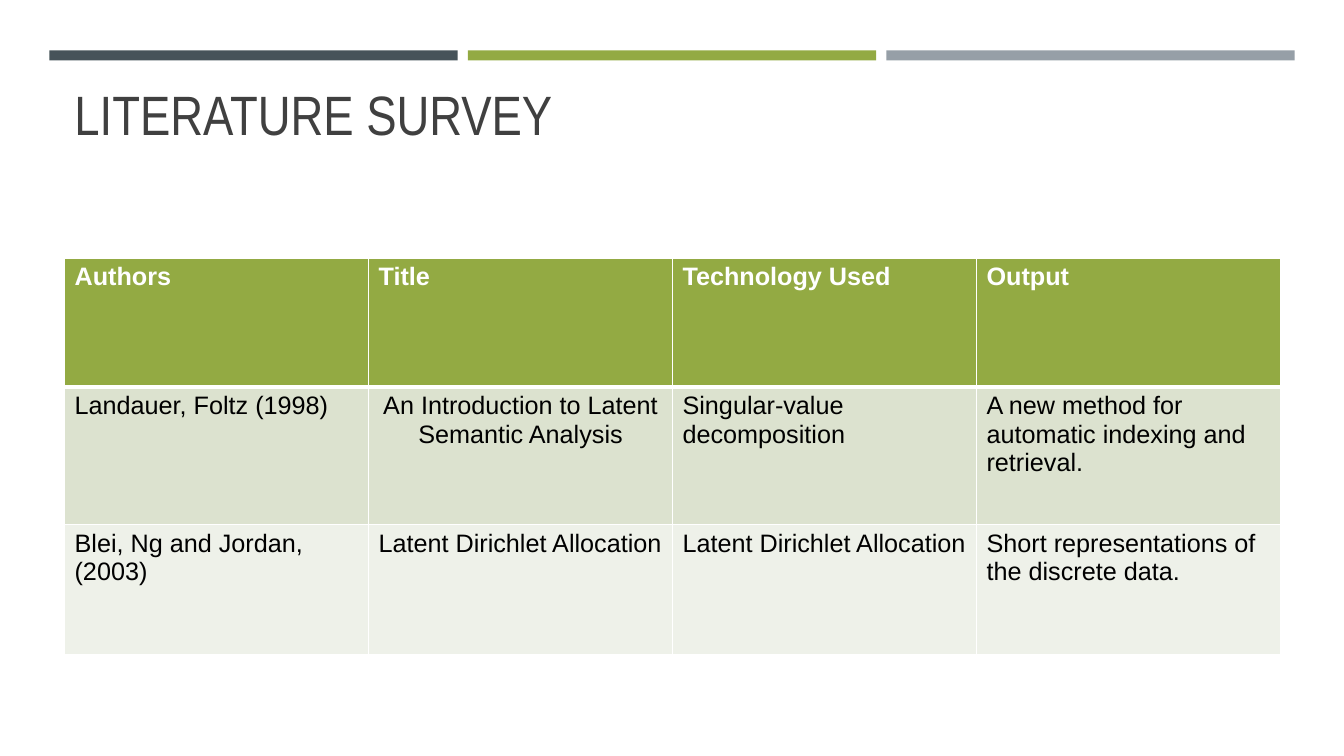
from lxml import etree
from pptx import Presentation
from pptx.dml.color import RGBColor
from pptx.enum.shapes import MSO_SHAPE
from pptx.enum.text import MSO_ANCHOR, PP_ALIGN
from pptx.oxml.ns import qn
from pptx.util import Inches, Pt

RECTANGLE = MSO_SHAPE.RECTANGLE
BOTTOM = MSO_ANCHOR.BOTTOM
LEFT = PP_ALIGN.LEFT
CENTER = PP_ALIGN.CENTER

WHITE = RGBColor(0xFF, 0xFF, 0xFF)
BLACK = RGBColor(0x00, 0x00, 0x00)
CHARCOAL = RGBColor(0x40, 0x40, 0x40)
SLATE = RGBColor(0x46, 0x53, 0x59)
GREEN = RGBColor(0x93, 0xAA, 0x43)
GRAY = RGBColor(0x96, 0x9F, 0xA7)
DARK_BAND = RGBColor(0xDC, 0xE2, 0xCF)
LIGHT_BAND = RGBColor(0xEE, 0xF1, 0xE9)


def add_run(paragraph, text, font_name, size, color, bold=False):
    run = paragraph.add_run()
    run.text = text
    run.font.name = font_name
    run.font.size = Pt(size)
    run.font.color.rgb = color
    run.font.bold = bold


def add_border(cell, side, width, color):
    properties = cell._tc.get_or_add_tcPr()
    line = etree.SubElement(properties, qn(f"a:ln{side}"), w=str(Pt(width)))
    fill = etree.SubElement(line, qn("a:solidFill"))
    etree.SubElement(fill, qn("a:srgbClr"), val=str(color))


presentation = Presentation()
presentation.slide_width = Inches(13.33)
presentation.slide_height = Inches(7.5)
slide = presentation.slides.add_slide(presentation.slide_layouts[6])

for index, color in enumerate([SLATE, GREEN, GRAY]):
    bar = slide.shapes.add_shape(
        RECTANGLE, Inches(0.49 + index * 4.15), Inches(0.5), Inches(4.05), Inches(0.1)
    )
    bar.shadow.inherit = False
    bar.fill.solid()
    bar.fill.fore_color.rgb = color
    bar.line.fill.background()

title = slide.shapes.add_textbox(Inches(0.64), Inches(0.77), Inches(12.06), Inches(0.74))
title.text_frame.word_wrap = True
title.text_frame.vertical_anchor = BOTTOM
title_paragraph = title.text_frame.paragraphs[0]
title_paragraph.line_spacing = 0.9
add_run(title_paragraph, "LITERATURE SURVEY", "Arial Narrow", 39.6, CHARCOAL)

survey = [
    ["Authors", "Title", "Technology Used", "Output"],
    [
        "Landauer, Foltz (1998)",
        "An Introduction to Latent Semantic Analysis",
        "Singular\u2010value decomposition",
        "A new method for automatic indexing and retrieval.",
    ],
    [
        "Blei, Ng and Jordan, (2003)",
        "Latent Dirichlet Allocation",
        "Latent Dirichlet Allocation",
        "Short representations of the discrete data.",
    ],
]
row_heights = [1.28, 1.36, 1.29]
row_fills = [GREEN, DARK_BAND, LIGHT_BAND]

table = slide.shapes.add_table(
    3, 4, Inches(0.64), Inches(2.56), Inches(12.06), Inches(3.93)
).table
for column in table.columns:
    column.width = Inches(12.06 / 4)

for row_index, texts in enumerate(survey):
    table.rows[row_index].height = Inches(row_heights[row_index])
    is_header = row_index == 0
    for column_index, text in enumerate(texts):
        cell = table.cell(row_index, column_index)
        for side in "LRTB":
            below_header = (row_index, side) in [(0, "B"), (1, "T")]
            add_border(cell, side, 3 if below_header else 1, WHITE)
        cell.fill.solid()
        cell.fill.fore_color.rgb = row_fills[row_index]
        paragraph = cell.text_frame.paragraphs[0]
        paragraph.alignment = CENTER if (row_index, column_index) == (1, 1) else LEFT
        add_run(paragraph, text, "Arial", 18, WHITE if is_header else BLACK, is_header)

presentation.save("out.pptx")
